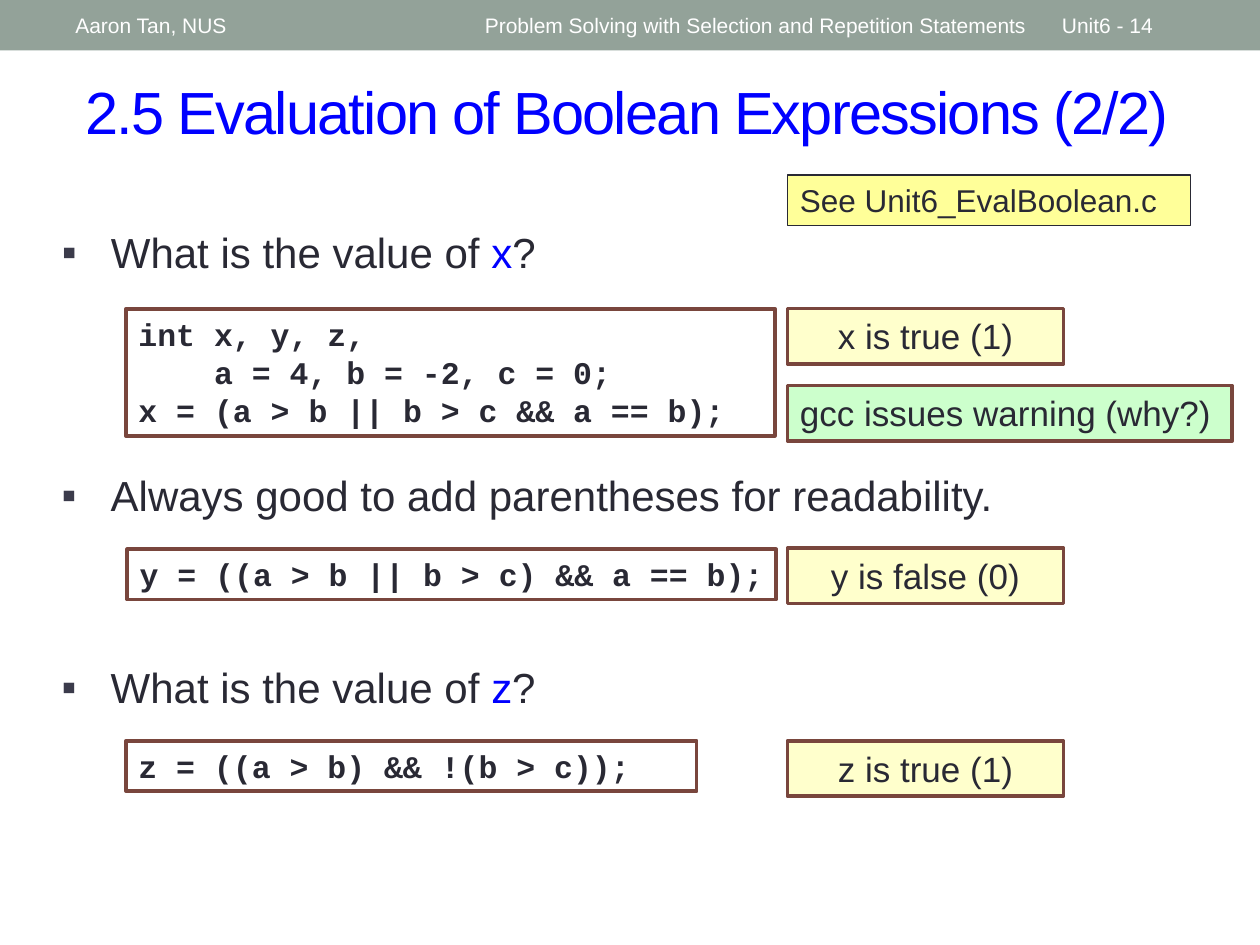
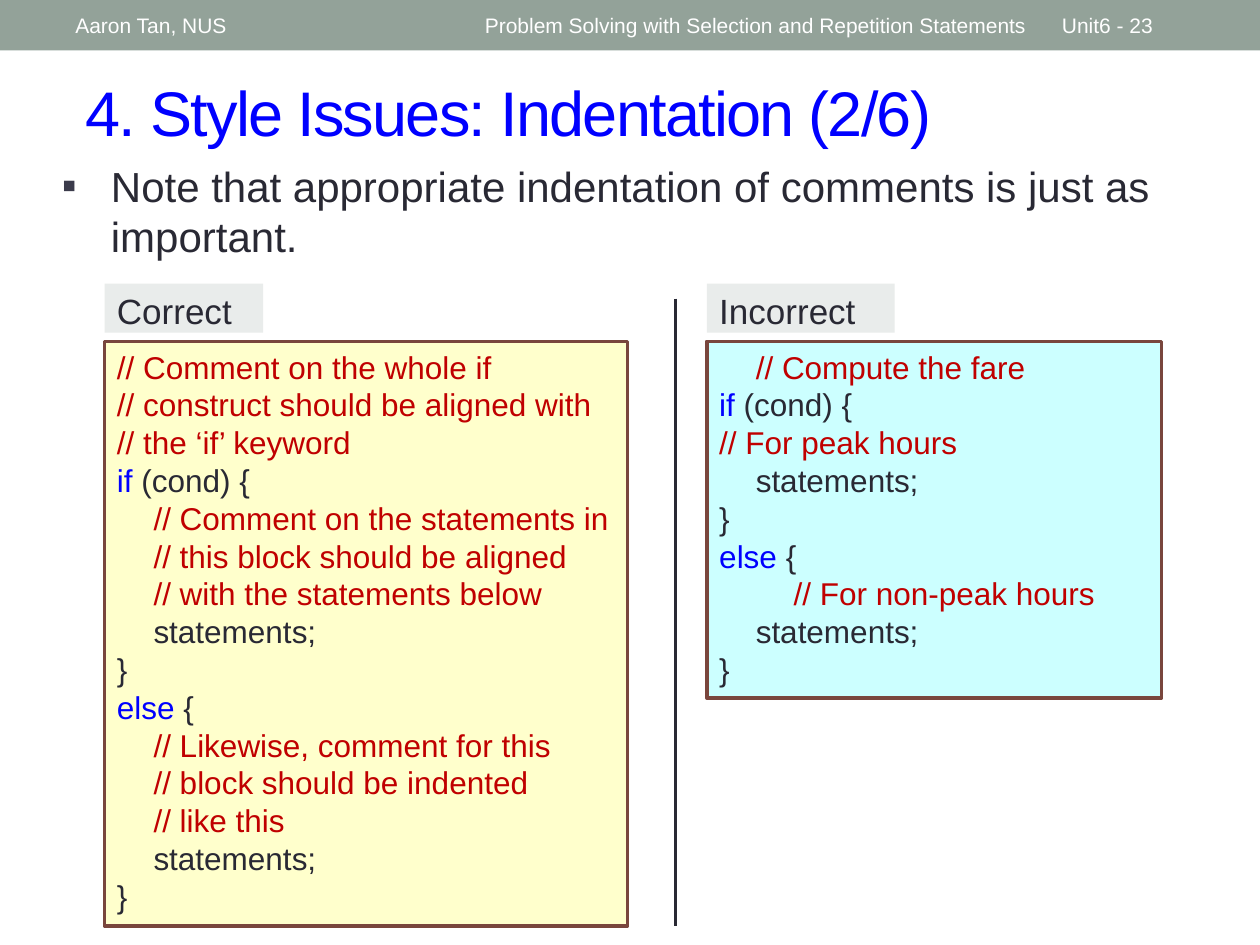
import pptx
import pptx.dml.color
import pptx.enum.shapes
import pptx.enum.text
import pptx.oxml
import pptx.oxml.ns
import pptx.util

Inches = pptx.util.Inches
Pt = pptx.util.Pt
ALIGN = pptx.enum.text.PP_ALIGN
ANCHOR = pptx.enum.text.MSO_ANCHOR
FIT = pptx.enum.text.MSO_AUTO_SIZE
NS = pptx.oxml.ns.nsdecls("a")

# Shared style
SANS, MONO = "Arial", "Courier New"
INK, BLUE, RED, WHITE = "292934", "0000FF", "C00000", "FFFFFF"
BAND, LABEL, BORDER, BULLET = "93A299", "E9ECEB", "79463D", "3B3B4B"
CREAM, YELLOW, GREEN, CYAN = "FFFFCC", "FFFF99", "CCFFCC", "CCFFFF"
AUTHOR = "Aaron Tan, NUS"
TOPIC = "Problem Solving with Selection and Repetition Statements"


def rgb(value):
    return pptx.dml.color.RGBColor.from_string(value)


def code_runs(line):
    """Colour one line of code: comments red, leading keywords blue."""
    if line.lstrip().startswith("//"):
        return [(line, RED)]
    for keyword in ("if", "else"):
        if line.startswith(keyword + " "):
            return [(keyword, BLUE), (line[len(keyword):], INK)]
    return [(line, INK)]


class Deck:
    def __init__(self):
        self.prs = pptx.Presentation()
        self.prs.slide_width, self.prs.slide_height = Inches(10), Inches(7.5)
        self.s = None

    def new_slide(self, number, title, title_size):
        self.s = self.prs.slides.add_slide(self.prs.slide_layouts[1])
        # Header band
        self.box((0, 0, 10, 0.4), [], fill=BAND)
        for text, left, width in ((TOPIC, 3.75, 4.5), (f"Unit6 - {number}", 8.33, 1.17),
                                  (AUTHOR, 0.5, 3.17)):
            tb = self.text_box((left, 0.02, width, 0.36))
            self.fill_text(tb.text_frame, [[(text, WHITE)]], 12, anchor=ANCHOR.MIDDLE)
        # Title
        sp = self.s.shapes.title
        self.place(sp, (0.58, 0.42, 9.17, 0.92))
        self.fill_text(sp.text_frame, [[(title, BLUE)]], title_size, anchor=ANCHOR.MIDDLE)
        r = sp.text_frame.paragraphs[0].runs[0]
        r._r.get_or_add_rPr().set("spc", "-100")

    def place(self, sp, at):
        sp.left, sp.top, sp.width, sp.height = map(Inches, at)

    def text_box(self, at):
        return self.s.shapes.add_textbox(*map(Inches, at))

    def fill_text(self, tf, lines, size, font=SANS, bold=False, align=ALIGN.LEFT,
                  anchor=ANCHOR.TOP, fit=FIT.NONE, extras=()):
        """Write lines of (text, colour) runs; extras are XML paragraph properties."""
        tf.word_wrap = True
        tf.auto_size = fit
        tf.vertical_anchor = anchor
        for i, runs in enumerate(lines):
            p = tf.add_paragraph() if i else tf.paragraphs[0]
            for xml in extras:
                p._p.get_or_add_pPr().append(pptx.oxml.parse_xml(xml))
            p.alignment = align
            p.space_before = Pt(0)
            for text, color in runs:
                r = p.add_run()
                r.text = text
                r.font.name, r.font.size, r.font.bold = font, Pt(size), bold
                r.font.color.rgb = rgb(color)

    def box(self, at, lines, size=18, fill=WHITE, line=None, weight=2.08, **style):
        sp = self.s.shapes.add_shape(pptx.enum.shapes.MSO_SHAPE.RECTANGLE, *map(Inches, at))
        sp.shadow.inherit = False
        sp.fill.solid()
        sp.fill.fore_color.rgb = rgb(fill)
        if line:
            sp.line.color.rgb = rgb(line)
            sp.line.width = Pt(weight)
            style["fit"] = FIT.SHAPE_TO_FIT_TEXT
        else:
            sp.line.fill.background()
        self.fill_text(sp.text_frame, lines, size, **style)

    def bullet(self, at, runs, first=False):
        """The first bullet of a slide fills its body placeholder."""
        sp = self.s.placeholders[1] if first else self.text_box(at)
        self.place(sp, at)
        marks = (f'<a:buClr {NS}><a:srgbClr val="{BULLET}"/></a:buClr>',
                 f'<a:buFont {NS} typeface="{SANS}"/>',
                 f'<a:buChar {NS} char="▪"/>')
        self.fill_text(sp.text_frame, [runs], 24, extras=marks)
        pPr = sp.text_frame.paragraphs[0]._p.get_or_add_pPr()
        pPr.set("marL", str(Inches(0.39)))
        pPr.set("indent", str(-Inches(0.39)))

    def code(self, at, text):
        lines = [[(line, INK)] for line in text.split("\n")]
        self.box(at, lines, line=BORDER, font=MONO, bold=True)

    def note(self, at, text, fill=CREAM, align=ALIGN.CENTER):
        self.box(at, [[(text, INK)]], 20, fill, BORDER, align=align)

    def listing(self, left, label, label_width, width, height, fill, text):
        """A grey label above a coloured listing with tab stops."""
        self.box((left, 2.25, label_width, 0.39), [[(label, INK)]], 20, LABEL)
        stops = "".join(f'<a:tab pos="{Inches(x)}" algn="l"/>' for x in (0.29, 0.59))
        self.box((left, 2.71, width, height), [code_runs(line) for line in text.split("\n")],
                 fill=fill, line=BORDER, extras=[f"<a:tabLst {NS}>{stops}</a:tabLst>"])

    def divider(self, x, top, bottom):
        c = self.s.shapes.add_connector(pptx.enum.shapes.MSO_CONNECTOR.STRAIGHT,
                                        Inches(x), Inches(top), Inches(x), Inches(bottom))
        c.line.color.rgb = rgb(INK)
        c.line.width = Pt(1.5)
        c._element.spPr.append(pptx.oxml.parse_xml(f"<a:effectLst {NS}/>"))


CORRECT = """// Comment on the whole if
// construct should be aligned with
// the ‘if’ keyword
if (cond) {
\t// Comment on the statements in
\t// this block should be aligned
\t// with the statements below
\tstatements;
}
else {
\t// Likewise, comment for this
\t// block should be indented
\t// like this
\tstatements;
}"""

INCORRECT = """\t// Compute the fare
if (cond) {
// For peak hours
\tstatements;
}
else {
\t\t// For non-peak hours
\tstatements;
}"""


def boolean_slide(deck):
    deck.new_slide(14, "2.5 Evaluation of Boolean Expressions (2/2)", 34)

    # Questions
    deck.bullet((0.39, 1.75, 9.18, 0.62),
                [("What is the value of ", INK), ("x", BLUE), ("?", INK)], first=True)
    deck.bullet((0.39, 3.68, 9.18, 0.68),
                [("Always good to add parentheses for readability.", INK)])
    deck.bullet((0.39, 5.2, 9.18, 0.65),
                [("What is the value of ", INK), ("z", BLUE), ("?", INK)])

    # Code
    deck.code((1, 2.45, 5.15, 1.01),
              "int x, y, z,\n    a = 4, b = -2, c = 0;\nx = (a > b || b > c && a == b);")
    deck.code((1.01, 4.36, 5.15, 0.4), "y = ((a > b || b > c) && a == b);")
    deck.code((1, 5.88, 4.53, 0.4), "z = ((a > b) && !(b > c));")

    # Answers and remarks
    for top, answer in ((2.45, "x is true (1)"), (4.35, "y is false (0)"),
                        (5.88, "z is true (1)")):
        deck.note((6.25, top, 2.19, 0.44), answer)
    deck.note((6.25, 3.06, 3.53, 0.44), "gcc issues warning (why?)", GREEN, ALIGN.LEFT)
    deck.box((6.25, 1.39, 3.2, 0.4), [[("See Unit6_EvalBoolean.c", INK)]],
             fill=YELLOW, line=INK, weight=0.75)


def indentation_slide(deck):
    deck.new_slide(23, "4. Style Issues: Indentation (2/6)", 36)
    deck.bullet((0.39, 1.22, 9.44, 1.08),
                [("Note that appropriate indentation of comments is just as important.", INK)],
                first=True)

    # Side-by-side listings
    deck.divider(5.36, 2.37, 7.35)
    deck.listing(0.83, "Correct", 1.26, 4.15, 4.64, CREAM, CORRECT)
    deck.listing(5.61, "Incorrect", 1.49, 3.61, 2.83, CYAN, INCORRECT)


def main():
    deck = Deck()
    boolean_slide(deck)
    indentation_slide(deck)
    deck.prs.save("out.pptx")


if __name__ == "__main__":
    main()
